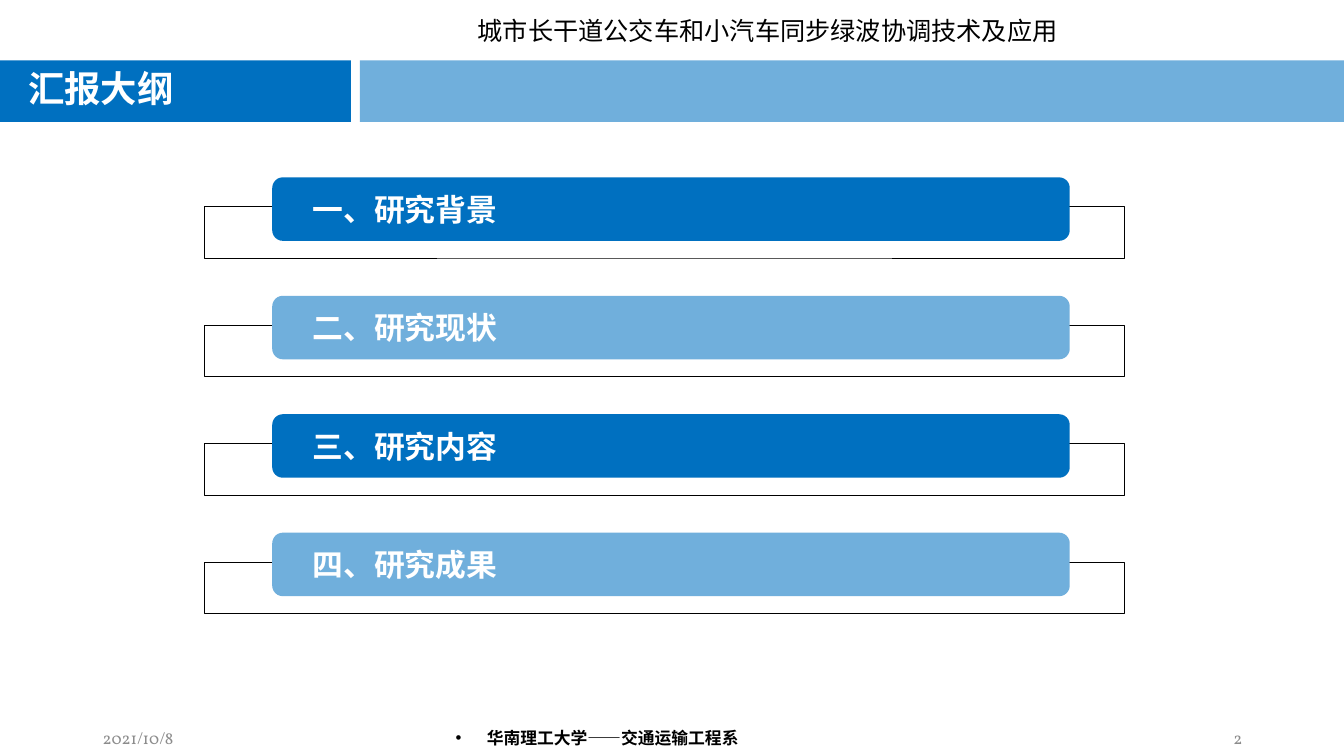
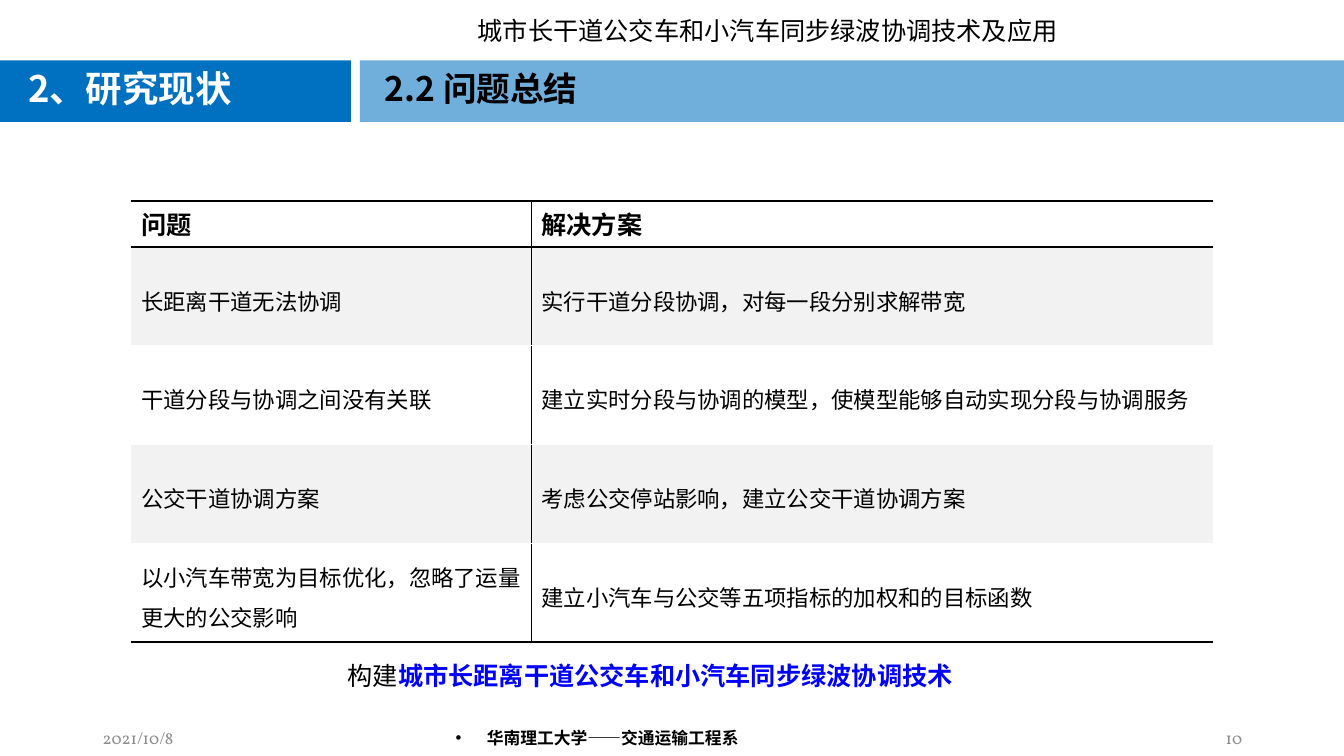
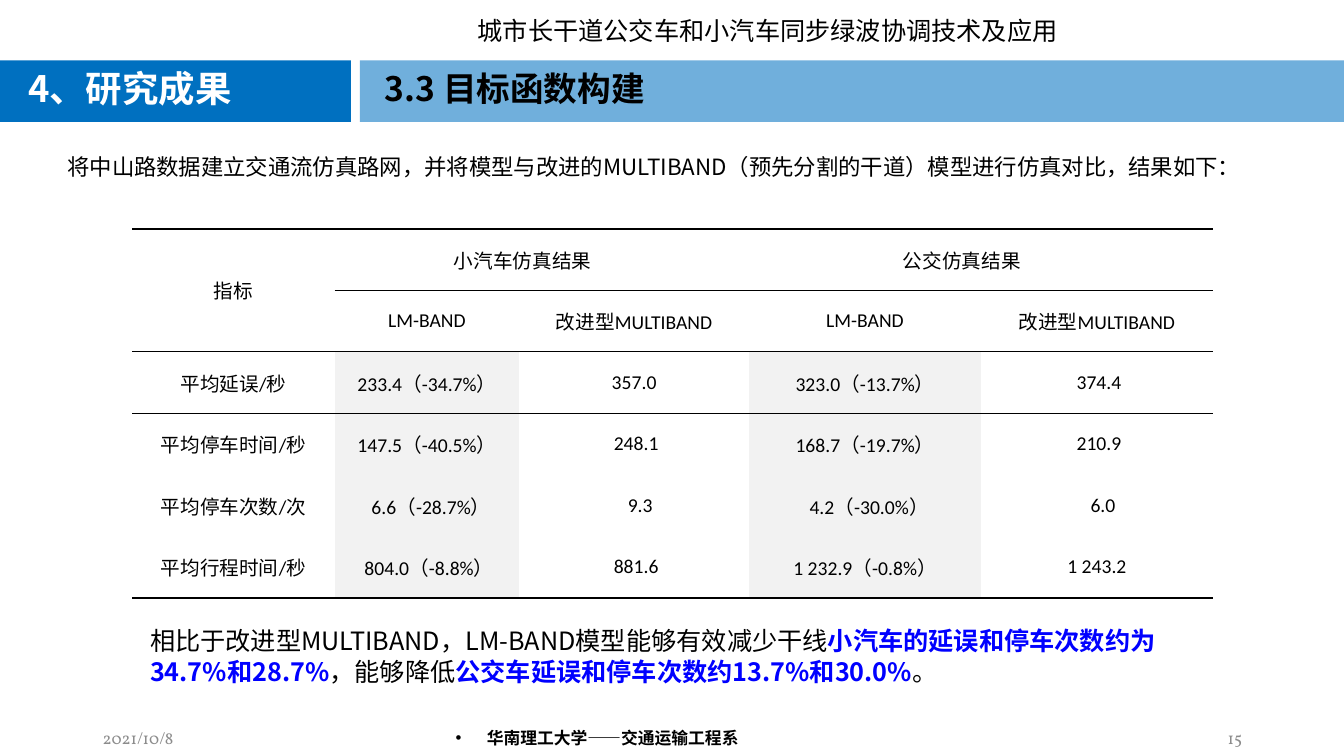
"""Build three slides on green-wave coordination for buses and cars."""
import pptx
import pptx.util
import pptx.dml.color
import pptx.enum.shapes
import pptx.enum.text
import pptx.oxml.ns
import lxml.etree

Inch = pptx.util.Inches
Align = pptx.enum.text.PP_ALIGN
Anchor = pptx.enum.text.MSO_ANCHOR
Shape = pptx.enum.shapes.MSO_SHAPE


class Theme:
    """Colours, fonts and type sizes."""
    deep, pale, grey = "0070C0", "70AFDC", "F2F2F2"
    ink, white, mute, hot = "000000", "FFFFFF", "8C8C8C", "0000FF"
    sans, body, serif = "Noto Sans CJK SC", "Calibri", "Vollkorn"
    tab, title, item, head, text, cell, foot = 26, 24, 22, 18, 16, 14, 12
    plain = "{2D5ABB26-0587-4C30-8999-92F81FD0307C}"


WIDE, HIGH = 13.33, 7.5
HEAD = "城市长干道公交车和小汽车同步绿波协调技术及应用"
DATE = "2021/10/8"
DEPT = "华南理工大学——交通运输工程系"

PARTS = ["一、研究背景", "二、研究现状", "三、研究内容", "四、研究成果"]

ISSUES = [
    ("问题", "解决方案"),
    ("长距离干道无法协调", "实行干道分段协调，对每一段分别求解带宽"),
    ("干道分段与协调之间没有关联", "建立实时分段与协调的模型，使模型能够自动实现分段与协调服务"),
    ("公交干道协调方案", "考虑公交停站影响，建立公交干道协调方案"),
    ("以小汽车带宽为目标优化，忽略了运量更大的公交影响", "建立小汽车与公交等五项指标的加权和的目标函数"),
]
AIM = [("构建", False), ("城市长距离干道公交车和小汽车同步绿波协调技术", True)]

INTRO = [("将中山路数据建立交通流仿真路网，并将模型与改进的MULTIBAND（预先分割的干道）模型进行仿真对比，结果如下：", False)]
SCORES = [
    ("指标", "小汽车仿真结果", "", "公交仿真结果", "", ""),
    ("", "LM-BAND", "改进型MULTIBAND", "", "LM-BAND", "改进型MULTIBAND"),
    ("平均延误/秒", "233.4（-34.7%）", "357.0", "", "323.0（-13.7%）", "374.4"),
    ("平均停车时间/秒", "147.5（-40.5%）", "248.1", "", "168.7（-19.7%）", "210.9"),
    ("平均停车次数/次", "6.6（-28.7%）", "9.3", "", "4.2（-30.0%）", "6.0"),
    ("平均行程时间/秒", "804.0（-8.8%）", "881.6", "", "1 232.9（-0.8%）", "1 243.2"),
]
SHIFTS = {(2, 5): 1, (3, 2): 1, (3, 5): 1, (4, 1): 2, (4, 2): 3,
          (4, 4): 2, (4, 5): 3, (5, 1): 1, (5, 2): 1}
SPANS = [(0, 0, 1, 0), (0, 1, 0, 2), (0, 3, 0, 5)] + [(r, 2, r, 3) for r in range(1, 6)]
FINDING = [
    ("相比于改进型MULTIBAND，LM-BAND模型能够有效减少干线", False),
    ("小汽车的延误和停车次数约为34.7%和28.7%", True),
    ("，能够降低", False),
    ("公交车延误和停车次数约13.7%和30.0%", True),
    ("。", False),
]


def rgb(tone):
    """Turn a hex tone into a colour."""
    return pptx.dml.color.RGBColor.from_string(tone)


def sub(node, tag, **attrs):
    """Append a drawing element."""
    return lxml.etree.SubElement(node, pptx.oxml.ns.qn(tag), attrs)


def write(frame, runs, size, face, tone=Theme.ink, bold=False, align=None, gap=None):
    """Write runs into the first paragraph of a frame."""
    para = frame.paragraphs[0]
    if align is not None:
        para.alignment = align
    if gap:
        para.line_spacing = gap
    for words, hot in runs:
        run = para.add_run()
        run.text = words
        font = run.font
        font.size, font.name, font.bold = pptx.util.Pt(size), face, bold or hot
        font.color.rgb = rgb(Theme.hot if hot else tone)
        sub(font._element, "a:ea", typeface=Theme.sans)
    return para


def label(slide, box, runs, size, face, anchor=Anchor.MIDDLE, **style):
    """Add a wrapped text box."""
    frame = slide.shapes.add_textbox(*map(Inch, box)).text_frame
    frame.word_wrap = True
    frame.vertical_anchor = anchor
    return write(frame, runs, size, face, **style)


def block(slide, kind, box, fill=None, line=None):
    """Add a flat shape."""
    shape = slide.shapes.add_shape(kind, *map(Inch, box))
    shape.shadow.inherit = False
    if fill:
        shape.fill.solid()
        shape.fill.fore_color.rgb = rgb(fill)
    else:
        shape.fill.background()
    if line:
        shape.line.color.rgb = rgb(line)
        shape.line.width = pptx.util.Pt(0.5)
    else:
        shape.line.fill.background()
    return shape


def start(deck, page, name, title=None):
    """Add a slide with its bands, titles and footer."""
    slide = deck.slides.add_slide(deck.slide_layouts[6])
    top, tall, split = 0.6, 0.61, 3.57
    block(slide, Shape.RECTANGLE, (split, top, WIDE - split, tall), Theme.pale)
    block(slide, Shape.RECTANGLE, (0, top, 3.48, tall), Theme.deep)
    label(slide, (4.64, 0.1, 6.16, 0.4), [(HEAD, False)], Theme.head, Theme.body, Anchor.TOP)
    label(slide, (0.18, 0.64, 3.16, 0.52), [(name, False)], Theme.tab, Theme.sans,
          tone=Theme.white, bold=True, gap=0.9)
    if title:
        label(slide, (3.72, 0.64, 9.23, 0.52), [(title, False)], Theme.title, Theme.sans,
              bold=True, gap=0.9)
    base, deep = 7.14, 0.35
    for left, words, align in ((0.92, DATE, Align.LEFT), (9.42, str(page), Align.RIGHT)):
        label(slide, (left, base, 3, deep), [(words, False)], Theme.foot, Theme.serif,
              tone=Theme.mute, align=align)
    para = label(slide, (4.42, base, 4.5, deep), [(DEPT, False)], Theme.foot, Theme.serif,
                 bold=True)
    props = para._p.get_or_add_pPr()
    props.set("marL", str(Inch(0.31)))
    props.set("indent", str(-Inch(0.31)))
    sub(props, "a:buFont", typeface="Arial")
    sub(props, "a:buChar", char="•")
    return slide


def grid(slide, left, top, cols, rows):
    """Add an unstyled table with given column and row sizes."""
    frame = slide.shapes.add_table(len(rows), len(cols), Inch(left), Inch(top),
                                   Inch(sum(cols)), Inch(sum(rows)))
    table = frame.table
    table.first_row = table.horz_banding = False
    table._tbl.tblPr.find(pptx.oxml.ns.qn("a:tableStyleId")).text = Theme.plain
    for part, sizes in ((table.columns, cols), (table.rows, rows)):
        for item, size in zip(part, sizes):
            if part is table.columns or sizes is cols:
                item.width = Inch(size)
            else:
                item.height = Inch(size)
    return table


def dress(cell, edges, fill=None):
    """Set borders, given as side to (tone, points), and the fill of a cell."""
    props = cell._tc.get_or_add_tcPr()
    for side in "LRTB":
        if side in edges:
            tone, width = edges[side]
            line = sub(props, "a:ln" + side, w=str(pptx.util.Pt(width)))
            sub(sub(line, "a:solidFill"), "a:srgbClr", val=tone)
    if fill:
        cell.fill.solid()
        cell.fill.fore_color.rgb = rgb(fill)
    else:
        cell.fill.background()


def outline(deck):
    """Build the outline slide."""
    slide = start(deck, 2, "汇报大纲")
    for n, words in enumerate(PARTS):
        top = 1.76 + n * 1.175
        block(slide, Shape.RECTANGLE, (2.03, top + 0.29, 9.12, 0.51), line=Theme.ink)
        bar = block(slide, Shape.ROUNDED_RECTANGLE, (2.7, top, 7.91, 0.63),
                    (Theme.deep, Theme.pale)[n % 2])
        frame = bar.text_frame
        frame.margin_left = Inch(0.37)
        frame.vertical_anchor = Anchor.MIDDLE
        write(frame, [(words, False)], Theme.item, Theme.sans, Theme.white, True, Align.LEFT)


def issues(deck):
    """Build the slide of problems and solutions."""
    slide = start(deck, 10, "2、研究现状", "2.2 问题总结")
    last = len(ISSUES) - 1
    table = grid(slide, 1.3, 1.99, [3.97, 6.76], [0.46] + [0.98] * last)
    thin, thick, blank = (Theme.ink, 1), (Theme.ink, 1.5), (Theme.white, 1)
    for r, row in enumerate(ISSUES):
        for c, words in enumerate(row):
            cell = table.cell(r, c)
            edges = {"R" if c == 0 else "L": thin,
                     "T": thick if r == 0 else thin if r == 1 else blank,
                     "B": thin if r == 0 else thick if r == last else blank}
            dress(cell, edges, Theme.grey if r % 2 else None)
            cell.vertical_anchor = Anchor.MIDDLE if r else Anchor.TOP
            write(cell.text_frame, [(words, False)], Theme.text if r else Theme.head,
                  Theme.body, bold=r == 0, gap=1.25 if r else None)
    label(slide, (3.35, 6.5, 6.49, 0.4), AIM, Theme.head, Theme.body, Anchor.TOP)


def scores(deck):
    """Build the slide of simulation results."""
    slide = start(deck, 15, "4、研究成果", "3.3 目标函数构建")
    last = len(SCORES) - 1
    table = grid(slide, 1.31, 2.27, [2.01, 1.83, 1.9, 0.38, 2.3, 2.3], [0.61] * len(SCORES))
    thin, thick = (Theme.ink, 1), (Theme.ink, 1.5)
    for r, c, low, far in SPANS:
        table.cell(r, c).merge(table.cell(low, far))
    for r, row in enumerate(SCORES):
        for c, words in enumerate(row):
            cell = table.cell(r, c)
            edges = {}
            if r == 0 or (r == 1 and c) or r == 2:
                edges["T"] = thin if r else thick
            if r == last or r == 1 or (r == 0 and c):
                edges["B"] = thick if r == last else thin
            dress(cell, edges, Theme.grey if r > 1 and c in (1, 4) else None)
            cell.vertical_anchor = Anchor.MIDDLE
            cell.margin_left = Inch(0.07 + 0.04 * SHIFTS.get((r, c), 0))
            cell.margin_right = Inch(0.07)
            cell.margin_top = cell.margin_bottom = 0
            if words:
                write(cell.text_frame, [(words, False)], Theme.cell, Theme.body,
                      align=Align.CENTER)
    for box, runs, size in (((0.57, 1.46, 11.84, 0.75), INTRO, Theme.text),
                            ((1.39, 6.15, 10.55, 0.83), FINDING, Theme.head)):
        label(slide, box, runs, size, Theme.sans, Anchor.TOP, gap=1.02)


def main():
    """Build and save the deck."""
    deck = pptx.Presentation()
    deck.slide_width, deck.slide_height = Inch(WIDE), Inch(HIGH)
    for build in (outline, issues, scores):
        build(deck)
    deck.save("out.pptx")


if __name__ == "__main__":
    main()
